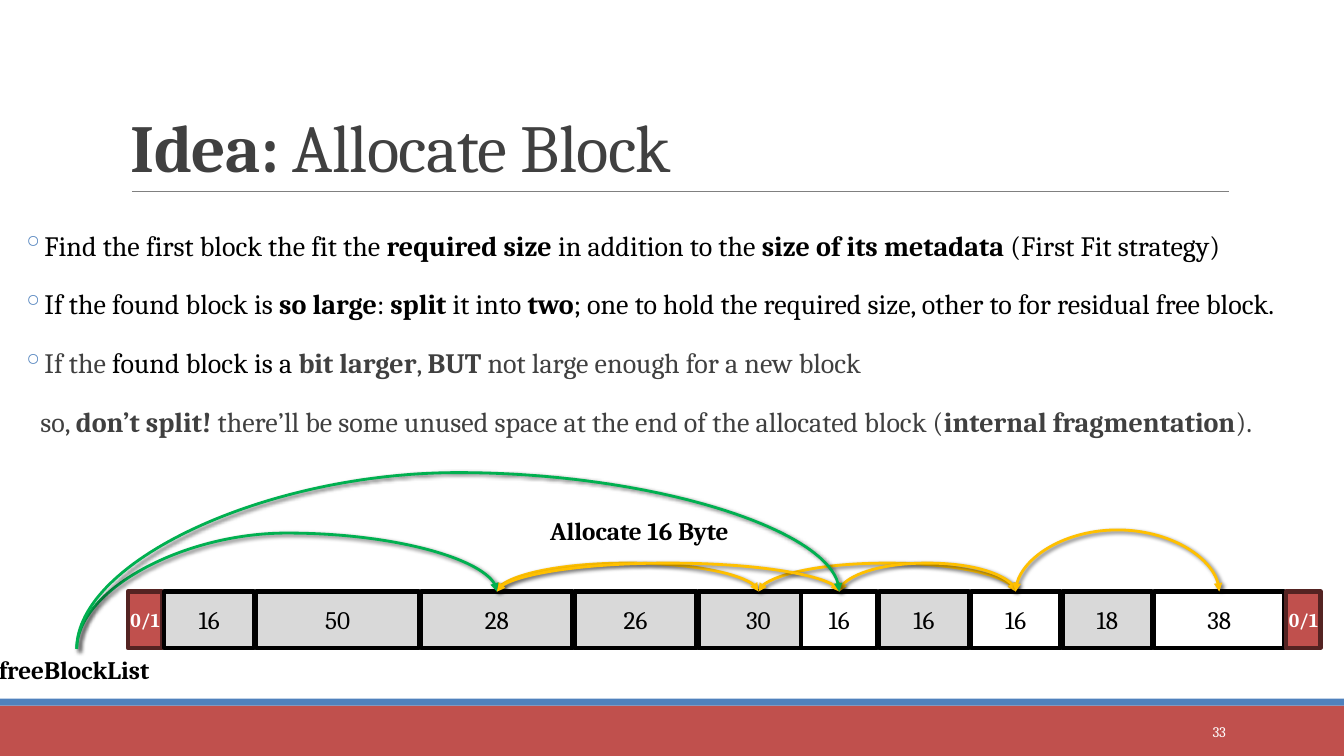
from lxml import etree
from pptx import Presentation
from pptx.dml.color import RGBColor
from pptx.enum.shapes import MSO_CONNECTOR as Connector, MSO_SHAPE as Preset
from pptx.enum.text import MSO_ANCHOR as Anchor, MSO_AUTO_SIZE as AutoSize, PP_ALIGN as Align
from pptx.oxml import parse_xml
from pptx.oxml.ns import nsdecls, qn
from pptx.util import Pt

FONT = "Cambria"
BLACK, WHITE, GRAY, DARK = "000000", "FFFFFF", "D9D9D9", "404040"
RED, MAROON, BLUE, GREEN, AMBER = "C0504D", "542322", "4F81BD", "00B050", "FFC000"
GAP = 1.44

BULLETS = [
    [("Find the first block the fit the ", BLACK, False), ("required size ", BLACK, True),
     ("in addition to the ", BLACK, False), ("size of its metadata ", BLACK, True),
     ("(First Fit strategy)", BLACK, False)],
    [("If the found block is ", BLACK, False), ("so large", BLACK, True), (": ", BLACK, False),
     ("split ", BLACK, True), ("it into ", BLACK, False), ("two", BLACK, True),
     ("; one to hold the required size, other to for residual free block.", BLACK, False)],
    [("If the ", DARK, False), ("found block is a ", BLACK, False), ("bit larger", DARK, True),
     (", ", DARK, False), ("BUT ", DARK, True), ("not large enough for a new block", DARK, False)],
    [("so, ", DARK, False), ("don’t split!", DARK, True),
     (" there’ll be some unused space at the end of the allocated block (", DARK, False),
     ("internal fragmentation", DARK, True), (").", DARK, False)],
]

BLOCKS = [
    ("start", "0/1", 24.5, RED, 0), ("first", "16", 64.1, GRAY, 0), ("large", "50", 116.6, GRAY, 0),
    ("taken", "28", 108, GRAY, 0), ("next", "26", 87.1, GRAY, 0), ("allocated", "30", 85.7, GRAY, 13.6),
    ("residual", "16", 54, WHITE, 0), ("used", "16", 64.1, GRAY, 0), ("free", "16", 64.1, WHITE, 0),
    ("small", "18", 64.1, GRAY, 0), ("last", "38", 92.9, WHITE, 0), ("end", "0/1", 24.5, RED, 0),
]

ARCS = [
    ("taken", "allocated", 18, AMBER), ("allocated", "free", 18, AMBER),
    ("list", "taken", 82.8, GREEN), ("taken", "residual", 18, AMBER),
    ("residual", "free", 18, AMBER), ("list", "residual", 126, GREEN),
    ("free", "last", 38.9, AMBER),
]


def color(hex_value):
    """Turn a hex string into a colour."""
    return RGBColor.from_string(hex_value)


def apply(target, values):
    """Set every attribute named in a dict of format values."""
    for name, value in values.items():
        setattr(target, name, value)


def add_run(paragraph, text, size, hex_value, bold=False):
    """Append a formatted run."""
    run = paragraph.add_run()
    run.text = text
    apply(run.font, {"name": FONT, "size": Pt(size), "bold": bold})
    run.font.color.rgb = color(hex_value)
    return run


def add_rect(slide, box, fill, line=None):
    """Draw a filled rectangle with an optional 3 pt outline."""
    shape = slide.shapes.add_shape(Preset.RECTANGLE, *map(Pt, box))
    shape.shadow.inherit = False
    shape.fill.solid()
    shape.fill.fore_color.rgb = color(fill)
    if line:
        shape.line.color.rgb = color(line)
        shape.line.width = Pt(3)
    else:
        shape.line.fill.background()
    return shape


def add_text_box(slide, box, **values):
    """Add a text box and format its frame."""
    shape = slide.shapes.add_textbox(*map(Pt, box))
    apply(shape.text_frame, {"word_wrap": True, **values})
    return shape


def add_title(slide, box):
    """Place the title and the rule below it."""
    left, top, width, height = box
    paragraph = add_text_box(slide, box, vertical_anchor=Anchor.BOTTOM).text_frame.paragraphs[0]
    paragraph.line_spacing = 0.85
    for text, bold in (("Idea: ", True), ("Allocate Block", False)):
        run = add_run(paragraph, text, 48, DARK, bold)
        run.font._element.set("spc", "-50")
    bottom = Pt(top + height)
    rule = slide.shapes.add_connector(
        Connector.STRAIGHT, Pt(left + 7.9), bottom, Pt(left + width - 0.3), bottom)
    rule.line.color.rgb = color("808080")
    rule.line.width = Pt(0.5)
    etree.SubElement(rule._element.spPr, qn("a:effectLst"))


def add_bullets(slide, box):
    """Place the strategy text; its last line continues the third bullet."""
    frame = add_text_box(slide, box, margin_left=0, margin_right=0).text_frame
    for index, runs in enumerate(BULLETS):
        paragraph = frame.add_paragraph() if index else frame.paragraphs[0]
        apply(paragraph, {"alignment": Align.JUSTIFY, "line_spacing": 1.5, "space_after": Pt(4)})
        if index:
            paragraph.space_before = Pt(2)
        properties = paragraph._element.get_or_add_pPr()
        if index < len(BULLETS) - 1:
            properties.set("marL", str(Pt(30.24)))
            properties.set("indent", str(Pt(-14.4)))
            bullet_color = etree.SubElement(properties, qn("a:buClr"))
            etree.SubElement(bullet_color, qn("a:srgbClr"), val=BLUE)
            etree.SubElement(properties, qn("a:buChar"), char="◦")
        else:
            properties.set("marL", str(Pt(28.8)))
        for text, hex_value, bold in runs:
            add_run(paragraph, text, 20, hex_value, bold)


def add_label(slide, box, text):
    """Place a bold one-line label."""
    label = add_text_box(slide, box, word_wrap=False, auto_size=AutoSize.SHAPE_TO_FIT_TEXT)
    add_run(label.text_frame.paragraphs[0], text, 18, BLACK, True)
    return label


def add_arc(slide, start, end, lift, hex_value):
    """Curve an arrow from the top of one shape to the top of another."""
    points = [(shape.left + shape.width // 2, shape.top) for shape in (start, end)]
    (start_x, start_y), (end_x, end_y) = points
    arc = slide.shapes.add_connector(Connector.CURVE, start_x, start_y, end_x, end_y)
    arc.begin_connect(start, 0)
    arc.end_connect(end, 0)
    rise, span = max(start_y - end_y, Pt(0.1)), end_x - start_x
    apply(arc, {"left": (start_x + end_x - rise) // 2, "top": (start_y + end_y - span) // 2,
                "width": rise, "height": span})
    properties = arc._element.spPr
    for name, value in {"rot": "5400000", "flipH": "1", "flipV": "1"}.items():
        properties.find(qn("a:xfrm")).set(name, value)
    guides = properties.find(qn("a:prstGeom")).get_or_add_avLst()
    etree.SubElement(guides, qn("a:gd"), name="adj1", fmla=f"val {round(Pt(lift) / rise * 100000)}")
    arc.line.color.rgb = color(hex_value)
    arc.line.width = Pt(2)
    line = properties.find(qn("a:ln"))
    if hex_value == AMBER:
        etree.SubElement(line, qn("a:headEnd"), type="triangle")
    etree.SubElement(line, qn("a:tailEnd"), type="triangle")
    properties.append(parse_xml(
        f'<a:effectLst {nsdecls("a")}><a:outerShdw blurRad="{Pt(3)}" dist="{Pt(2)}" dir="2700000">'
        f'<a:srgbClr val="{BLACK}"><a:alpha val="60000"/></a:srgbClr></a:outerShdw></a:effectLst>'))


def add_heap(slide, box):
    """Draw the row of memory blocks, its labels and the free list arrows."""
    left, top, width, height = box
    shapes = {}
    cursor = left
    for name, text, block_width, fill, overlap in BLOCKS:
        boundary = fill == RED
        shape = add_rect(slide, (cursor, top, block_width, height), fill, MAROON if boundary else BLACK)
        apply(shape.text_frame, {"margin_left": 0, "margin_right": 0, "margin_top": 0,
                                 "margin_bottom": 0, "vertical_anchor": Anchor.MIDDLE})
        paragraph = shape.text_frame.paragraphs[0]
        paragraph.alignment = Align.CENTER
        add_run(paragraph, text, 14 if boundary else 18, WHITE if boundary else BLACK, boundary)
        shapes[name] = shape
        cursor += block_width + GAP - overlap
    shapes["list"] = add_label(slide, (left - 99.3, top + height + 0.7, 125.3, 29), "freeBlockList")
    add_label(slide, (left + 294.5, top - 58.3, 149, 29), "Allocate 16 Byte")
    for start, end, lift, hex_value in ARCS:
        add_arc(slide, shapes[start], shapes[end], lift, hex_value)


def add_footer(slide, box):
    """Draw the two footer bands and the slide number."""
    left, top, width, height = box
    add_rect(slide, (left, top + 5, width, height - 5), RED)
    add_rect(slide, (left, top, width, 5), BLUE)
    number = add_text_box(slide, (left + 779.8, top + 9.3, 103, 28.8), vertical_anchor=Anchor.MIDDLE)
    paragraph = number.text_frame.paragraphs[0]
    paragraph.alignment = Align.RIGHT
    add_run(paragraph, "33", 10.5, WHITE)


def main():
    """Build the slide and save it."""
    presentation = Presentation()
    apply(presentation, {"slide_width": Pt(960), "slide_height": Pt(540)})
    slide = presentation.slides.add_slide(presentation.slide_layouts[6])
    add_footer(slide, (0, 499, 960, 41))
    add_title(slide, (86.4, 22.3, 792, 114.5))
    add_bullets(slide, (0, 147.4, 960, 178))
    add_heap(slide, (91.4, 422.6, 851, 40.3))
    presentation.save("out.pptx")


if __name__ == "__main__":
    main()
